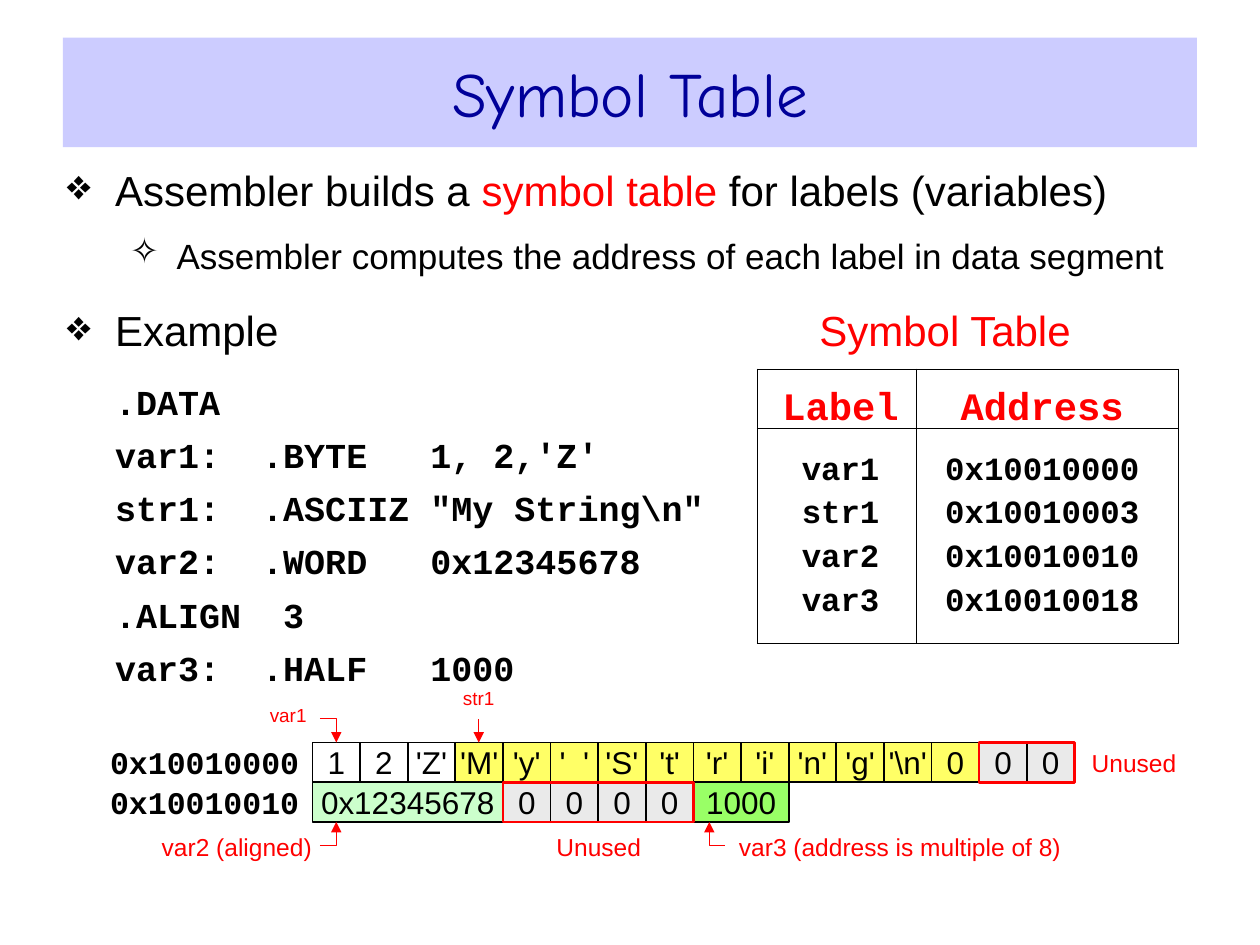
from lxml import etree
from pptx import Presentation
from pptx import util as u
from pptx.dml.color import RGBColor
from pptx.enum import shapes, text
from pptx.oxml.ns import qn

COLORS = {
    "black": "000000", "red": "FF0000", "navy": "000099", "lavender": "CCCCFF",
    "yellow": "FFFF66", "mint": "CCFFCC", "green": "99FF66", "gray": "EAEAEA",
}
RGB = {name: RGBColor.from_string(value) for name, value in COLORS.items()}
CENTER, MIDDLE = text.PP_ALIGN.CENTER, text.MSO_ANCHOR.MIDDLE
CODE = {"name": "Courier New", "bold": True}
RED_LABEL = {"name": "Arial", "size": u.Pt(14), "color": "red"}


def add_run(p, words, name="Arial", size=u.Pt(18), bold=False, color="black"):
    r = p.add_run()
    r.text = words
    for key, value in {"name": name, "size": size, "bold": bold}.items():
        setattr(r.font, key, value)
    r.font.color.rgb = RGB[color]


def add_box(x, y, w, h, words="", fill=None, line=None, width=1, **font):
    """Rectangle in centimetres with centred text."""
    sp = s.shapes.add_shape(shapes.MSO_SHAPE.RECTANGLE, *map(u.Cm, (x, y, w, h)))
    sp.shadow.inherit = False
    for part, color in ((sp.fill, fill), (sp.line.fill, line)):
        if color:
            part.solid()
            part.fore_color.rgb = RGB[color]
        else:
            part.background()
    if line:
        sp.line.width = u.Pt(width)
    if words:
        tf = sp.text_frame
        frame = {"word_wrap": False, "vertical_anchor": MIDDLE, "margin_left": 0,
                 "margin_right": 0, "margin_top": 0, "margin_bottom": 0}
        for key, value in frame.items():
            setattr(tf, key, value)
        p = tf.paragraphs[0]
        p.alignment = CENTER
        add_run(p, words, **font)


prs = Presentation()
prs.slide_width, prs.slide_height = u.Cm(25.4), u.Cm(19.05)
s = prs.slides.add_slide(prs.slide_layouts[6])

# Title
add_box(1.27, 0.76, 22.86, 2.21, "Symbol Table", "lavender",
        name="Comic Neue", size=u.Pt(36), color="navy")

# Body: bullet, left margin, hanging indent, space before, size, runs
body = [
    ("❖", 0.97, -0.97, 0, 24, [("Assembler builds a ", "black"), ("symbol table ", "red"),
                               ("for labels (variables)", "black")]),
    ("✧", 2.21, -0.94, 11, 20,
     [("Assembler computes the address of each label in data segment", "black")]),
    ("❖", 0.97, -0.97, 16.4, 24, [("Example\t", "black"), ("Symbol Table", "red")]),
]
code = [".DATA", "var1:  .BYTE   1, 2,'Z'", "str1:  .ASCIIZ \"My String\\n\"",
        "var2:  .WORD   0x12345678", ".ALIGN  3", "var3:  .HALF   1000"]
for i, row in enumerate(code):
    body.append((None, 0.97, 0, 6.4 if i else 14.2, 20, [(row, "black")]))

tf = s.shapes.add_textbox(*map(u.Cm, (1.35, 3.12, 22.78, 11.68))).text_frame
tf.word_wrap = True
tf.margin_left = tf.margin_right = 0
tf.margin_top = u.Cm(0.2)
for i, (bullet, left, indent, before, size, runs) in enumerate(body):
    p = tf.add_paragraph() if i else tf.paragraphs[0]
    p.space_before = u.Pt(before)
    pPr = p._p.get_or_add_pPr()
    pPr.set("marL", str(u.Cm(left)))
    pPr.set("indent", str(u.Cm(indent)))
    if bullet:
        etree.SubElement(pPr, qn("a:buChar"), char=bullet)
        tabs = etree.SubElement(pPr, qn("a:tabLst"))
        etree.SubElement(tabs, qn("a:tab"), pos=str(u.Cm(17.7)), algn="ctr")
    else:
        etree.SubElement(pPr, qn("a:buNone"))
    for words, color in runs:
        add_run(p, words, size=u.Pt(size), color=color, **({} if bullet else CODE))

# Symbol table
symbols = {"Label": ["var1", "str1", "var2", "var3"],
           "Address": ["0x10010000", "0x10010003", "0x10010010", "0x10010018"]}
table = s.shapes.add_table(2, 2, *map(u.Cm, (15.27, 7.44, 8.48, 5.54))).table
table.first_row = table.horz_banding = False
for row, height in zip(table.rows, (1.19, 4.35)):
    row.height = u.Cm(height)
for column, width in zip(table.columns, (3.2, 5.28)):
    column.width = u.Cm(width)
for col, (head, values) in enumerate(symbols.items()):
    for row, lines in enumerate(([head], values)):
        cell = table.cell(row, col)
        cell.fill.background()
        cell.vertical_anchor = MIDDLE if row else text.MSO_ANCHOR.BOTTOM
        cell.margin_top = cell.margin_bottom = 0
        cell.margin_left = u.Cm(0 if col else 0.15)
        cell.margin_right = u.Cm(0.2 if col else 0)
        for i, words in enumerate(lines):
            p = cell.text_frame.add_paragraph() if i else cell.text_frame.paragraphs[0]
            p.alignment, p.line_spacing = CENTER, 0.9
            p.space_before = u.Pt(6.2 if i else 0)
            add_run(p, words, size=u.Pt(18.5 if row else 22.2),
                    color="black" if row else "red", **CODE)
        tcPr = cell._tc.get_or_add_tcPr()
        for i, side in enumerate(("a:lnL", "a:lnR", "a:lnT", "a:lnB")):
            ln = etree.Element(qn(side), w=str(u.Pt(0.75)))
            fill = etree.SubElement(ln, qn("a:solidFill"))
            etree.SubElement(fill, qn("a:srgbClr"), val=COLORS["black"])
            tcPr.insert(i, ln)

# Memory cells: text, width in bytes, fill
X0, Y0, BYTE, ROW = 6.3, 14.97, 0.96, 0.8
string = ["'M'", "'y'", "'  '", "'S'", "'t'", "'r'", "'i'", "'n'", "'g'", "'\\n'", "0"]
memory = {
    "0x10010000": [(c, 1, None) for c in ("1", "2", "'Z'")]
    + [(c, 1, "yellow") for c in string] + [("0", 1, "gray")] * 2,
    "0x10010010": [("0x12345678", 4, "mint")] + [("0", 1, "gray")] * 4
    + [("1000", 2, "green")],
}
for row, (address, cells) in enumerate(memory.items()):
    x, y = X0, Y0 + row * ROW
    add_box(2.13, y, 3.99, ROW, address, **CODE)
    for words, size, fill in cells:
        add_box(x, y, size * BYTE, ROW, words, fill, "black")
        x += size * BYTE

# Frames around unused bytes: row, first byte, number of bytes
for row, first, count in ((0, 14, 2), (1, 4, 4)):
    add_box(X0 + first * BYTE, Y0 + row * ROW, count * BYTE, ROW, line="red", width=1.5)

# Red labels
for words, x, y, w, h, size in (
    ("var1", 5.33, 14.17, 0.96, 0.48, 10.8),
    ("str1", 9.17, 13.84, 0.96, 0.48, 10.8),
    ("Unused", 21.82, Y0, 2.08, ROW, 14),
    ("var2 (aligned)", 3.1, 16.74, 3.35, 0.64, 14),
    ("Unused", 10.95, 16.74, 2.24, 0.64, 14),
    ("var3 (address is multiple of 8)", 14.78, 16.74, 6.73, 0.64, 14),
):
    add_box(x, y, w, h, words, **{**RED_LABEL, "size": u.Pt(size)})

# Arrows from the labels to the cells
BOTTOM = Y0 + 2 * ROW
arrows = [
    [(6.45, 14.48), (6.78, 14.48), (6.78, Y0)],
    [(9.65, 14.5), (9.65, Y0)],
    [(6.45, 17.04), (6.78, 17.04), (6.78, BOTTOM)],
    [(14.61, 17.04), (14.3, 17.04), (14.3, BOTTOM)],
]
for points in arrows:
    start, *rest = [(u.Cm(x), u.Cm(y)) for x, y in points]
    if len(rest) == 1:
        sp = s.shapes.add_connector(shapes.MSO_CONNECTOR.STRAIGHT, *start, *rest[0])
    else:
        builder = s.shapes.build_freeform(*start)
        builder.add_line_segments(rest, close=False)
        sp = builder.convert_to_shape()
        sp.fill.background()
    sp.line.color.rgb = RGB["red"]
    sp.line.width = u.Pt(0.75)
    spPr = sp._element.spPr
    etree.SubElement(spPr.find(qn("a:ln")), qn("a:tailEnd"), type="triangle")
    etree.SubElement(spPr, qn("a:effectLst"))

prs.save("out.pptx")
